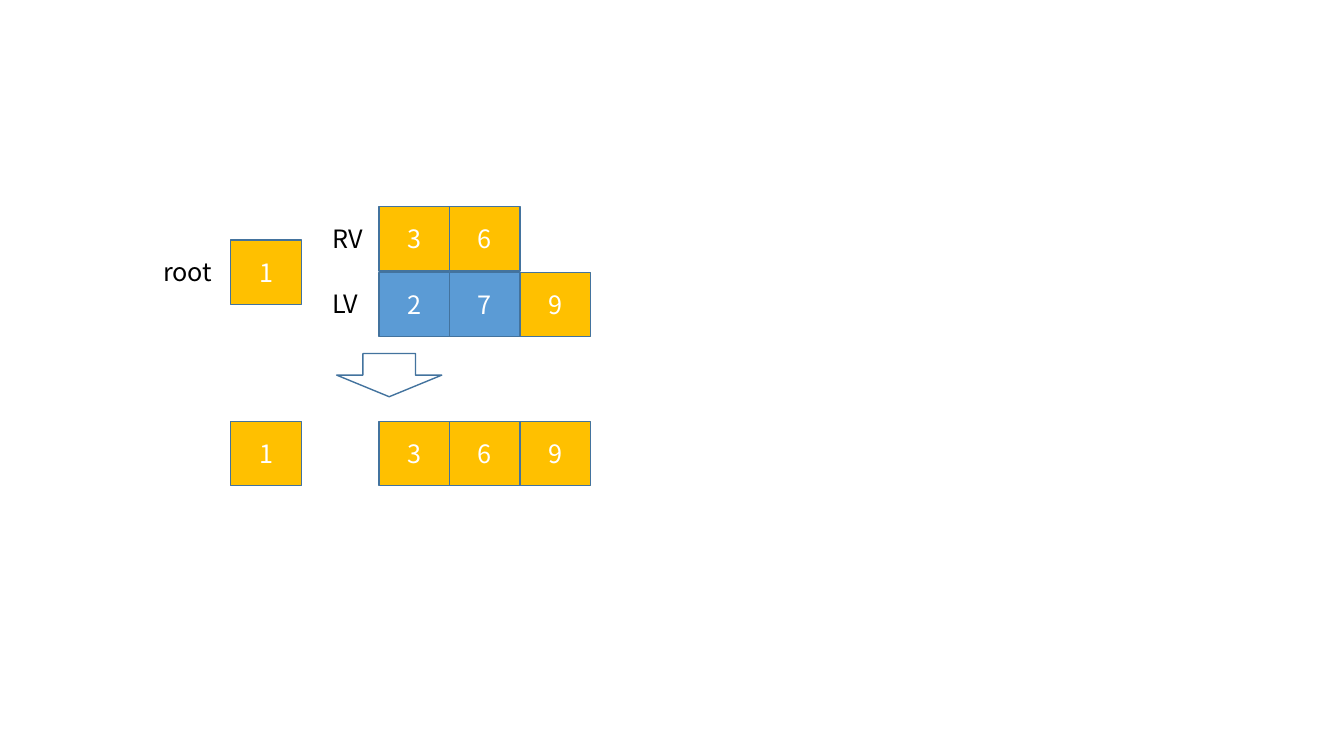
import pptx
import pptx.dml.color
import pptx.enum.shapes
import pptx.enum.text
import pptx.util

COLORS = {"gold": "FFC000", "blue": "5B9BD5", "line": "43739E",
          "white": "FFFFFF", "black": "000000"}
FONT = "Noto Sans CJK SC"
COL, ROW = 0.7, 0.64
VECTOR_COL = 2.1
SHAPES = pptx.enum.shapes.MSO_SHAPE
ALIGN = pptx.enum.text.PP_ALIGN
ANCHOR = pptx.enum.text.MSO_ANCHOR


def rgb(name):
    return pptx.dml.color.RGBColor.from_string(COLORS[name])


def grid(col, row, cols, rows):
    return [pptx.util.Inches(n) for n in (col * COL, row * ROW, cols * COL, rows * ROW)]


def set_text(sp, text, color, align):
    tf = sp.text_frame
    tf.word_wrap = True
    p = tf.paragraphs[0]
    p.text = text
    p.alignment = align
    font = p.runs[0].font
    font.name = FONT
    font.size = pptx.util.Pt(18)
    font.color.rgb = rgb(color)


def add_outlined(slide, kind, box, fill):
    sp = slide.shapes.add_shape(kind, *grid(*box))
    sp.shadow.inherit = False
    sp.fill.solid()
    sp.fill.fore_color.rgb = rgb(fill)
    sp.line.color.rgb = rgb("line")
    sp.line.width = pptx.util.Pt(1)
    return sp


def add_cells(slide, col, row, values, fills):
    for i, (value, fill) in enumerate(zip(values, fills)):
        sp = add_outlined(slide, SHAPES.RECTANGLE, (col + i, row, 1, 1), fill)
        set_text(sp, value, "white", ALIGN.CENTER)
        sp.text_frame.vertical_anchor = ANCHOR.MIDDLE


def add_label(slide, col, row, text):
    sp = slide.shapes.add_textbox(*grid(col, row + 0.18, 1.09, 0.63))
    set_text(sp, text, "black", ALIGN.LEFT)
    sp.text_frame.auto_size = pptx.enum.text.MSO_AUTO_SIZE.SHAPE_TO_FIT_TEXT


def add_before(slide, col, row):
    vector = col + VECTOR_COL
    rows = [
        ("root", col, col - 1.1, 0.52, "1", ["gold"]),
        ("RV", vector, vector - 0.8, 0, "36", ["gold", "gold"]),
        ("LV", vector, vector - 0.8, 1.02, "279", ["blue", "blue", "gold"]),
    ]
    for label, left, label_left, offset, values, fills in rows:
        add_cells(slide, left, row + offset, values, fills)
        add_label(slide, label_left, row + offset, label)


def add_step_arrow(slide, col, row):
    add_outlined(slide, SHAPES.DOWN_ARROW, (col, row, 1.49, 0.67), "white")


def add_after(slide, col, row):
    add_cells(slide, col, row, "1", ["gold"])
    add_cells(slide, col + VECTOR_COL, row, "369", ["gold"] * 3)


prs = pptx.Presentation()
prs.slide_width = pptx.util.Inches(13.33)
prs.slide_height = pptx.util.Inches(7.5)
slide = prs.slides.add_slide(prs.slide_layouts[6])
add_before(slide, 3.27, 3.2)
add_step_arrow(slide, 4.77, 5.48)
add_after(slide, 3.27, 6.53)
prs.save("out.pptx")
